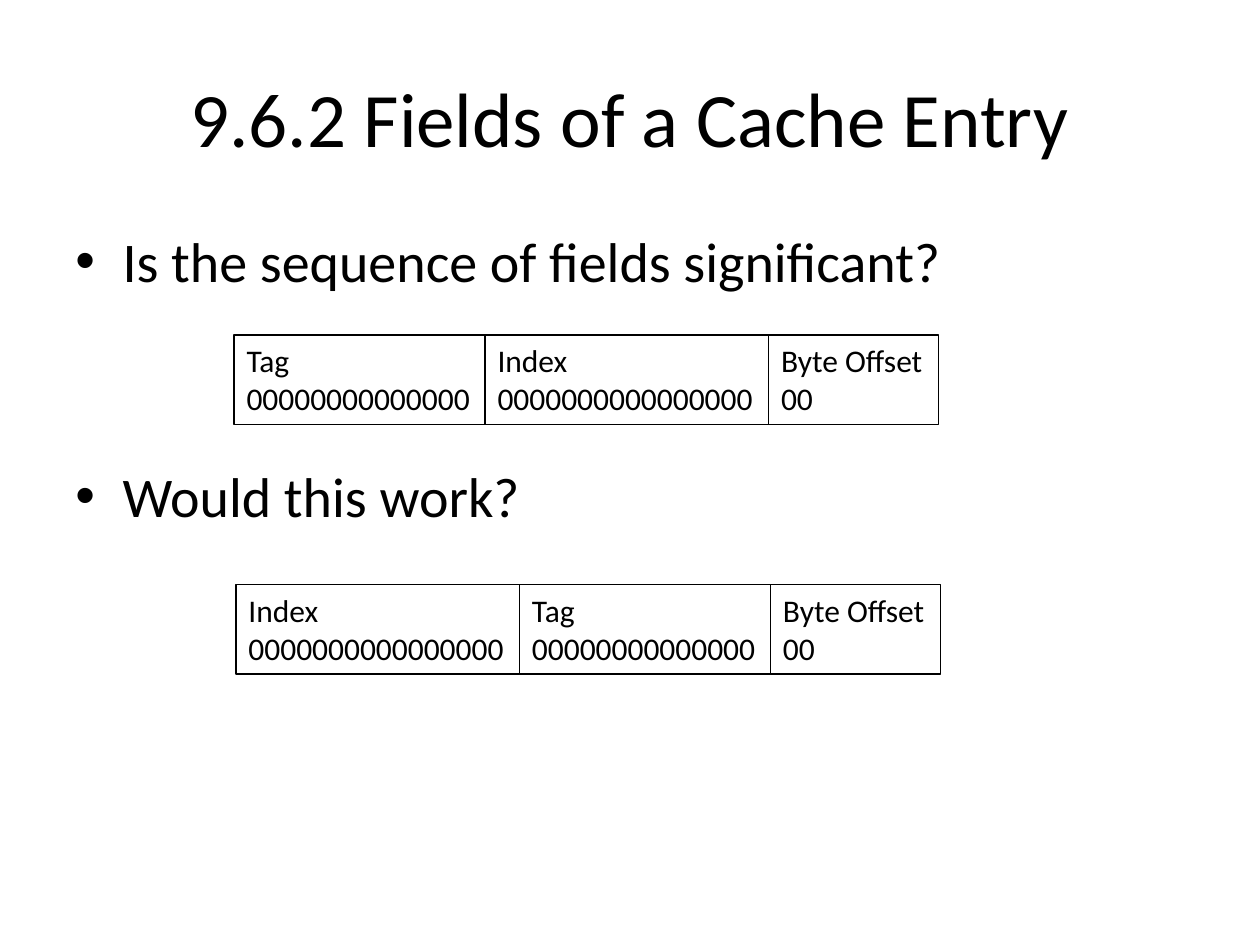
from lxml import etree
from pptx import Presentation
from pptx.dml.color import RGBColor
from pptx.enum import shapes, text
from pptx.oxml import ns
from pptx.util import Pt

TITLE = "9.6.2 Fields of a Cache Entry"
POINTS = [("Is the sequence of fields significant?", 0), ("Would this work?", 95.8)]
FIELDS = {
    "Tag": ("00000000000000", 143.4),
    "Index": ("0000000000000000", 162),
    "Byte Offset": ("00", 97.2),
}
ROWS = [
    (133.8, 191.5, ["Tag", "Index", "Byte Offset"]),
    (134.9, 334.1, ["Index", "Tag", "Byte Offset"]),
]
HIGH = 51.1
INK = "000000"


def color(code):
    return RGBColor.from_string(code)


def style(para, size):
    para.font.name = "Calibri"
    para.font.size = Pt(size)
    para.font.color.rgb = color(INK)


def add_box(slide, left, top, width, height):
    box = slide.shapes.add_textbox(Pt(left), Pt(top), Pt(width), Pt(height))
    box.text_frame.word_wrap = True
    return box.text_frame


def add_title(slide):
    frame = add_box(slide, 36, 21.6, 648, 90)
    frame.vertical_anchor = text.MSO_ANCHOR.MIDDLE
    para = frame.paragraphs[0]
    para.text = TITLE
    para.alignment = text.PP_ALIGN.CENTER
    style(para, 44)


def add_points(slide):
    frame = add_box(slide, 36, 126, 648, 356.4)
    frame.text = "\n".join(label for label, gap in POINTS)
    for para, (label, gap) in zip(frame.paragraphs, POINTS):
        props = para._p.get_or_add_pPr()
        props.set("marL", str(Pt(27)))
        props.set("indent", str(Pt(-27)))
        etree.SubElement(props, ns.qn("a:buFont"), typeface="Arial")
        etree.SubElement(props, ns.qn("a:buChar"), char="•")
        if gap:
            para.space_before = Pt(gap)
        style(para, 32)


def add_field(slide, name, left, top):
    bits, width = FIELDS[name]
    field = slide.shapes.add_shape(
        shapes.MSO_SHAPE.RECTANGLE, Pt(left), Pt(top), Pt(width), Pt(HIGH))
    field.shadow.inherit = False
    field.fill.background()
    field.line.color.rgb = color(INK)
    field.line.width = Pt(0.75)
    frame = field.text_frame
    frame.word_wrap = False
    frame.auto_size = text.MSO_AUTO_SIZE.SHAPE_TO_FIT_TEXT
    frame.vertical_anchor = text.MSO_ANCHOR.TOP
    frame.text = f"{name}\n{bits}"
    for para in frame.paragraphs:
        para.alignment = text.PP_ALIGN.LEFT
        style(para, 18)
    return width


def main():
    deck = Presentation()
    deck.slide_width, deck.slide_height = Pt(720), Pt(540)
    slide = deck.slides.add_slide(deck.slide_layouts[6])
    add_title(slide)
    add_points(slide)
    for left, top, names in ROWS:
        for name in names:
            left += add_field(slide, name, left, top)
    deck.save("out.pptx")


if __name__ == "__main__":
    main()
